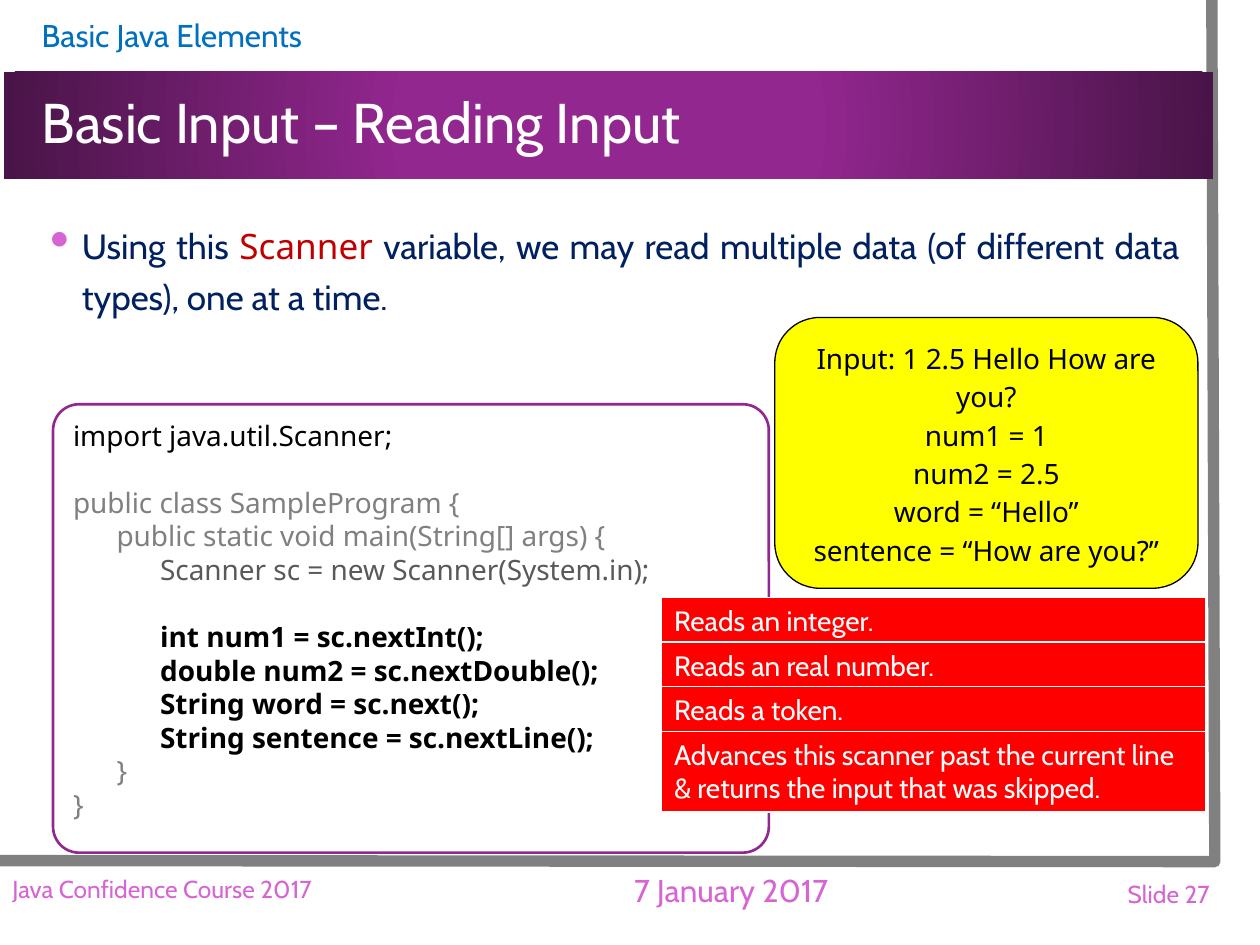
from dataclasses import dataclass

from lxml import etree
from pptx import Presentation
from pptx.dml.color import RGBColor
from pptx.enum.shapes import MSO_SHAPE
from pptx.enum.text import MSO_ANCHOR, PP_ALIGN
from pptx.oxml import parse_xml
from pptx.oxml.ns import nsdecls, qn
from pptx.util import Cm, Pt

RECT, ROUND = MSO_SHAPE.RECTANGLE, MSO_SHAPE.ROUNDED_RECTANGLE
TOP, MIDDLE = MSO_ANCHOR.TOP, MSO_ANCHOR.MIDDLE
LEFT, CENTER, RIGHT, JUSTIFY = (
    PP_ALIGN.LEFT, PP_ALIGN.CENTER, PP_ALIGN.RIGHT, PP_ALIGN.JUSTIFY)


@dataclass(frozen=True)
class Theme:
    sans: str = "Cabin"
    code: str = "Noto Sans"
    purple: str = "92278F"
    dark_purple: str = "491447"
    pink: str = "D665D3"
    blue: str = "0070C0"
    navy: str = "002060"
    crimson: str = "C00000"
    red: str = "FF0000"
    yellow: str = "FFFF00"
    white: str = "FFFFFF"
    black: str = "000000"
    gray: str = "808080"
    dark_gray: str = "595959"
    title: int = 32
    body: int = 20
    heading: int = 18
    label: int = 16
    footer: int = 14
    code_line: Pt = Pt(19.2)
    output_line: Pt = Pt(21.9)


def add_text(p, text, *, font, size, color, bold=False):
    r = p.add_run()
    r.text = text
    r.font.name = font
    r.font.size = Pt(size)
    r.font.bold = bold
    r.font.color.rgb = RGBColor.from_string(color)


class SlideBuilder:
    def __init__(self, slide, theme):
        self.slide = slide
        self.theme = theme

    def fill_text(self, sp, paragraphs, *, align=LEFT, anchor=TOP, spacing=1.0, **fmt):
        """Fill a shape; each paragraph is a list of (text, format changes)."""
        base = {"font": self.theme.sans, "size": self.theme.label,
                "color": self.theme.black} | fmt
        tf = sp.text_frame
        tf.word_wrap = True
        tf.vertical_anchor = anchor
        for i, runs in enumerate(paragraphs):
            p = tf.paragraphs[0] if i == 0 else tf.add_paragraph()
            p.alignment = align
            p.line_spacing = spacing
            for text, changes in runs:
                add_text(p, text, **(base | changes))
        return tf

    def text(self, box, text, *, inset=0.25, **fmt):
        sp = self.slide.shapes.add_textbox(*map(Cm, box))
        tf = self.fill_text(sp, [[(text, {})]], anchor=MIDDLE, **fmt)
        tf.margin_left = Cm(inset)

    def box(self, kind, box, fill, line=None, width=0.75, radius=None):
        sp = self.slide.shapes.add_shape(kind, *map(Cm, box))
        sp.shadow.inherit = False
        sp.fill.solid()
        sp.fill.fore_color.rgb = RGBColor.from_string(fill)
        if line:
            sp.line.color.rgb = RGBColor.from_string(line)
            sp.line.width = Pt(width)
        else:
            sp.line.fill.background()
        if radius is not None:
            sp.adjustments[0] = radius
        return sp

    def band(self, box, inner, outer):
        """Bar with a radial gradient."""
        sp = self.box(RECT, box, inner)
        solid = sp._element.spPr.find(qn("a:solidFill"))
        solid.getparent().replace(solid, parse_xml(
            f'<a:gradFill {nsdecls("a")} rotWithShape="1"><a:gsLst>'
            f'<a:gs pos="34000"><a:srgbClr val="{inner}"/></a:gs>'
            f'<a:gs pos="100000"><a:srgbClr val="{outer}"/></a:gs></a:gsLst>'
            '<a:path path="circle"><a:fillToRect l="50000" t="50000" r="50000" '
            'b="50000"/></a:path></a:gradFill>'))

    def outline(self, points, color, width):
        start, *rest = [(Cm(x), Cm(y)) for x, y in points]
        builder = self.slide.shapes.build_freeform(*start)
        builder.add_line_segments(rest, close=False)
        sp = builder.convert_to_shape()
        sp.shadow.inherit = False
        sp.fill.background()
        sp.line.color.rgb = RGBColor.from_string(color)
        sp.line.width = Pt(width)

    def bullet(self, box, runs, **fmt):
        sp = self.slide.shapes.add_textbox(*map(Cm, box))
        tf = self.fill_text(sp, [runs], **fmt)
        pPr = tf.paragraphs[0]._p.get_or_add_pPr()
        pPr.set("marL", str(Cm(0.64)))
        pPr.set("indent", str(-Cm(0.64)))
        color = etree.SubElement(pPr, qn("a:buClr"))
        etree.SubElement(color, qn("a:srgbClr")).set("val", self.theme.pink)
        etree.SubElement(pPr, qn("a:buSzPct")).set("val", "160000")
        etree.SubElement(pPr, qn("a:buChar")).set("char", "•")

    def code(self, box, lines):
        """Code panel; lines are (text, colour, bold, gap before)."""
        t = self.theme
        sp = self.box(ROUND, box, t.white, t.purple, 1.5, 0.058)
        tf = self.fill_text(
            sp, [[(text, {"color": color, "bold": bold})] for text, color, bold, _ in lines],
            font=t.code, spacing=t.code_line)
        for p, (*_, gap) in zip(tf.paragraphs, lines):
            if gap:
                p.space_before = t.code_line


def main():
    prs = Presentation()
    prs.slide_width, prs.slide_height = Cm(25.4), Cm(19.05)
    t = Theme()
    s = SlideBuilder(prs.slides.add_slide(prs.slide_layouts[6]), t)

    s.outline([(24.43, 0), (24.49, 17.37), (-0.05, 17.35)], t.gray, 6.5)
    s.band((0.08, 1.45, 24.38, 2.16), t.purple, t.dark_purple)
    s.text((0.08, 0.2, 24.38, 1.02), "Basic Java Elements",
           inset=0.76, size=t.heading, color=t.blue)
    s.text((0.08, 1.47, 24.38, 2.13), "Basic Input – Reading Input",
           inset=0.76, size=t.title, color=t.white, spacing=0.9)

    s.text((10.74, 17.4, 8, 1.09), "7 January 2017",
           size=t.heading, color=t.pink, align=CENTER)
    s.text((0, 17.4, 10.74, 1.04), "Java Confidence Course 2017",
           size=t.footer, color=t.pink)
    s.text((18.77, 17.42, 5.87, 1.19), "Slide 27",
           size=t.footer, color=t.pink, align=RIGHT)

    s.bullet((0.76, 4.24, 23.27, 12.75), [
        ("Using this ", {}),
        ("Scanner", {"font": t.code, "color": t.crimson}),
        (" variable, we may read multiple data (of different data types), "
         "one at a time.", {}),
    ], size=t.body, color=t.navy, align=JUSTIFY, spacing=1.2)

    s.code((1.07, 8.15, 14.43, 9.04), [
        ("import java.util.Scanner;", t.black, False, False),
        ("public class SampleProgram {", t.gray, False, True),
        ("      public static void main(String[] args) {", t.gray, False, False),
        ("            Scanner sc = new Scanner(System.in);", t.dark_gray, False, False),
        ("            int num1 = sc.nextInt();", t.black, True, True),
        ("            double num2 = sc.nextDouble();", t.black, True, False),
        ("            String word = sc.next();", t.black, True, False),
        ("            String sentence = sc.nextLine();", t.black, True, False),
        ("      }", t.gray, False, False),
        ("}", t.gray, False, False),
    ])

    notes = [
        ("Reads an integer.", 0.94),
        ("Reads an real number.", 0.94),
        ("Reads a token.", 0.94),
        ("Advances this scanner past the current line & returns the input "
         "that was skipped.", 1.63),
    ]
    for i, (note, height) in enumerate(notes):
        sp = s.box(RECT, (13.34, 12.04 + 0.9 * i, 10.97, height), t.red, t.white)
        s.fill_text(sp, [[(note, {})]], color=t.white)

    output = ["Input: 1 2.5 Hello How are you?", "num1 = 1", "num2 = 2.5",
              "word = “Hello”", "sentence = “How are you?”"]
    sp = s.box(ROUND, (15.62, 6.4, 8.53, 5.46), t.yellow, t.black)
    s.fill_text(sp, [[(line, {})] for line in output],
                font=t.code, align=CENTER, spacing=t.output_line)

    prs.save("out.pptx")


if __name__ == "__main__":
    main()
